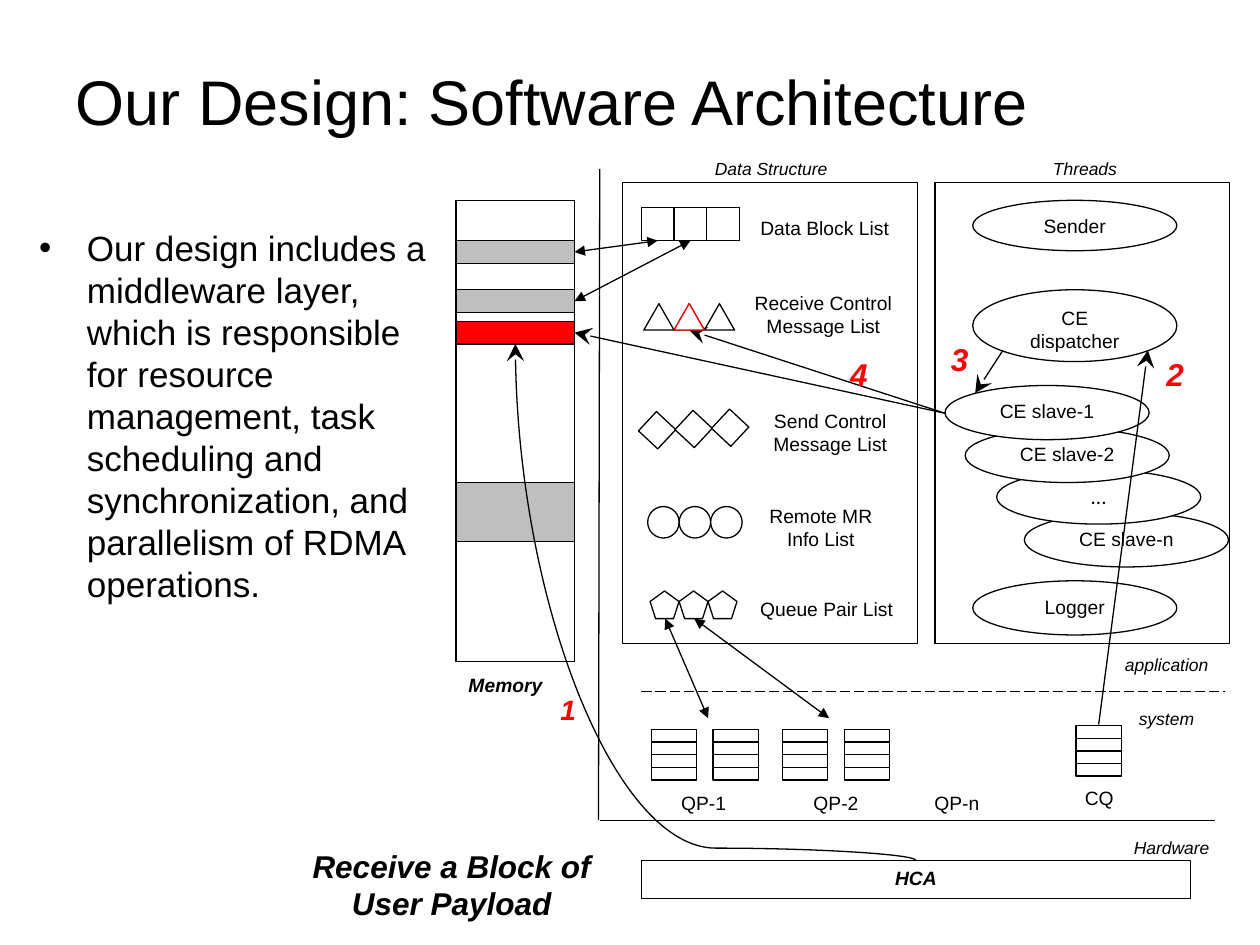
from lxml import etree
from pptx import Presentation
from pptx import util as u
from pptx.dml.color import RGBColor
from pptx.enum import dml, shapes, text
from pptx.oxml.ns import qn

COLORS = {"black": "000000", "white": "FFFFFF", "gray": "BFBFBF", "red": "FF0000"}
FONT = "Arial"
KIND = shapes.MSO_SHAPE
CENTER, LEFT = text.PP_ALIGN.CENTER, text.PP_ALIGN.LEFT
TOP, MIDDLE = text.MSO_ANCHOR.TOP, text.MSO_ANCHOR.MIDDLE

# Content
TITLE = "Our Design: Software Architecture"
BODY = ("Our design includes a middleware layer, which is responsible for resource "
        "management, task scheduling and synchronization, and parallelism of RDMA operations. ")
CAPTION = "Receive a Block of User Payload"

HEADINGS = [  # text, left, top, width, height, alignment
    ("Threads", 8.02, 1.21, 1.18, 0.26, CENTER),
    ("Data Structure", 5.53, 1.21, 1.18, 0.26, CENTER),
    ("application", 8.83, 5.12, 0.92, 0.31, LEFT),
    ("system", 8.94, 5.55, 0.86, 0.31, LEFT),
    ("Hardware", 8.9, 6.57, 0.86, 0.31, LEFT),
]
LABELS = [
    ("Data Block List", 5.9, 1.65, 1.29, 0.31),
    ("Receive Control Message List", 5.88, 2.25, 1.31, 0.49),
    ("Send Control Message List", 5.99, 3.17, 1.2, 0.52),
    ("Remote MR Info List", 5.95, 3.93, 1.13, 0.51),
    (" Queue Pair List", 5.85, 4.69, 1.38, 0.29),
    ("QP-1", 5.27, 6.23, 0.63, 0.29),
    ("QP-2", 6.32, 6.23, 0.63, 0.29),
    ("QP-n", 7.28, 6.23, 0.63, 0.29),
    ("CQ", 8.41, 6.19, 0.63, 0.29),
]
LIST_ICONS = [  # kind, left, top, width, height, step across, step down, rotation
    (KIND.RECTANGLE, 5.09, 1.65, 0.26, 0.26, 0.26, 0, 0),
    (KIND.ISOSCELES_TRIANGLE, 5.11, 2.41, 0.24, 0.21, 0.24, 0, 0),
    (KIND.RECTANGLE, 5.11, 3.31, 0.21, 0.21, 0.29, -0.01, 43),
    (KIND.OVAL, 5.14, 4.02, 0.25, 0.25, 0.25, 0, 0),
    (KIND.REGULAR_PENTAGON, 5.16, 4.69, 0.23, 0.22, 0.23, 0, 0),
]
QUEUES = [(5.17, 5.79), (5.66, 5.79), (6.21, 5.79), (6.7, 5.79), (8.54, 5.76)]
PANELS = [(7.42, 1.45, 2.34), (4.94, 1.45, 2.34), (3.62, 1.59, 0.94)]
MEMORY_BLOCKS = [(1.91, 0.18), (2.3, 0.18), (3.83, 0.47)]
THREADS = [  # text, left, top, height, font, size
    ("Sender", 7.72, 1.59, 0.4, FONT, 11),
    ("CE dispatcher", 7.72, 2.3, 0.57, FONT, 11),
    ("CE slave-n", 8.13, 4.07, 0.43, FONT, 11),
    ("...", 7.91, 3.73, 0.43, "Calibri", 12),
    ("CE slave-2", 7.66, 3.4, 0.43, FONT, 11),
    ("CE slave-1", 7.5, 3.06, 0.43, FONT, 11),
    ("Logger", 7.72, 4.61, 0.43, FONT, 11),
]
BORDERS = [(4.76, 1.34, 4.75, 6.51), (9.64, 6.51, 4.76, 6.51)]
LINKS = [(5.22, 1.91, 4.56, 2), (5.48, 1.91, 4.56, 2.39),
         (5.28, 4.91, 5.62, 5.7), (5.51, 4.91, 6.58, 5.7)]
FLOWS = [(8.72, 5.75, 9.11, 2.78), (7.96, 2.78, 7.74, 3.12),
         (7.5, 3.28, 5.47, 2.62), (7.5, 3.28, 4.56, 2.64)]
STEPS = [("1", 4.28, 5.38, 16), ("2", 9.09, 2.7, 18),
         ("3", 7.38, 2.58, 18), ("4", 6.58, 2.7, 18)]

prs = Presentation()
prs.slide_width, prs.slide_height = u.Inches(10), u.Inches(7.5)
s = prs.slides.add_slide(prs.slide_layouts[1])


def rgb(name):
    return RGBColor.from_string(COLORS[name])


def write(sp, words, size, align=LEFT, anchor=TOP, bold=False, italic=False,
          color="black", font=FONT, wrap=True):
    tf = sp.text_frame
    tf.word_wrap, tf.vertical_anchor = wrap, anchor
    tf.auto_size = text.MSO_AUTO_SIZE.NONE
    p = tf.paragraphs[0]
    p.alignment = align
    r = p.add_run()
    r.text = words
    r.font.name, r.font.size = font, u.Pt(size)
    r.font.bold, r.font.italic = bold, italic
    r.font.color.rgb = rgb(color)
    return p


def place(sp, *box):
    sp.left, sp.top, sp.width, sp.height = map(u.Inches, box)


def draw(kind, *box, fill="white", line="black"):
    sp = s.shapes.add_shape(kind, *map(u.Inches, box))
    sp.shadow.inherit = False
    if fill:
        sp.fill.solid()
        sp.fill.fore_color.rgb = rgb(fill)
    else:
        sp.fill.background()
    if line:
        sp.line.color.rgb = rgb(line)
        sp.line.width = u.Pt(0.75)
    else:
        sp.line.fill.background()
    return sp


def connect(ends, head=None, tail=None, size="med", kind=shapes.MSO_CONNECTOR.STRAIGHT):
    c = s.shapes.add_connector(kind, *map(u.Inches, ends))
    c.line.color.rgb = rgb("black")
    c.line.width = u.Pt(0.75)
    for tag, arrow in (("a:headEnd", head), ("a:tailEnd", tail)):
        if arrow:
            etree.SubElement(c.line._get_or_add_ln(), qn(tag), type=arrow, w=size, len=size)
    etree.SubElement(c._element.spPr, qn("a:effectLst"))
    return c


# Title and body
title, body = s.placeholders[0], s.placeholders[1]
place(title, 0.5, 0.17, 9, 1.25)
write(title, TITLE, 36, anchor=MIDDLE)
place(body, 0.21, 1.75, 3.37, 4.95)
p = write(body, BODY, 20)
p.space_before = u.Pt(4)
pPr = p._p.get_or_add_pPr()
pPr.set("marL", str(u.Inches(0.38)))
pPr.set("indent", str(-u.Inches(0.38)))
etree.SubElement(pPr, qn("a:buChar"), char="\u2022")

# Panels, memory and labels
for *box, align in HEADINGS:
    write(draw(KIND.RECTANGLE, *box[1:], line=None), box[0], 10, align, MIDDLE, italic=True)
for left, top, width in PANELS:
    draw(KIND.RECTANGLE, left, top, width, 3.66)
for top, height in MEMORY_BLOCKS:
    draw(KIND.RECTANGLE, 3.62, top, 0.94, height, fill="gray")
write(draw(KIND.RECTANGLE, 3.62, 5.29, 0.94, 0.31, line=None), "Memory", 11,
      bold=True, italic=True)
for words, *box in LABELS:
    write(draw(KIND.RECTANGLE, *box, line=None), words, 11, CENTER, MIDDLE)

# List icons and queues
for kind, left, top, width, height, dx, dy, angle in LIST_ICONS:
    for i in range(3):
        draw(kind, left + i * dx, top + i * dy, width, height).rotation = angle
for left, top in QUEUES:
    for row in range(4):
        draw(KIND.RECTANGLE, left, top + row * 0.1, 0.36, 0.1)

# Threads and hardware
for words, left, top, height, font, size in THREADS:
    write(draw(KIND.OVAL, left, top, 1.62, height), words, size, CENTER, font=font)
write(draw(KIND.RECTANGLE, 5.09, 6.83, 4.36, 0.3), "HCA", 11, CENTER, bold=True, italic=True)

# Borders and arrows
connect((5.09, 5.49, 9.72, 5.49)).line.dash_style = dml.MSO_LINE.LONG_DASH
for ends in BORDERS:
    connect(ends)
for ends in LINKS:
    connect(ends, "triangle", "triangle")
for ends in FLOWS:
    connect(ends, tail="stealth", size="lg")

# Curve from the hardware up to memory: a flipped connector turned by 270 degrees
curve = connect((3.63, 6.37, 7.73, 3.19), tail="stealth", size="lg",
                kind=shapes.MSO_CONNECTOR.CURVE)
spPr = curve._element.spPr
spPr.find(qn("a:xfrm")).set("rot", str(270 * 60000))
guides = spPr.find(qn("a:prstGeom")).find(qn("a:avLst"))
etree.SubElement(guides, qn("a:gd"), name="adj1", fmla="val 2400")

# Step numbers, caption and highlighted items
for words, left, top, size in STEPS:
    write(draw(KIND.OVAL, left, top, 0.47, 0.47, fill=None, line=None), words, size,
          bold=True, italic=True, color="red", wrap=False)
caption = s.shapes.add_textbox(*map(u.Inches, (2.25, 6.67, 2.67, 0.71)))
write(caption, CAPTION, 18, CENTER, bold=True, italic=True)
draw(KIND.RECTANGLE, 3.62, 2.55, 0.94, 0.18, fill="red")
draw(KIND.ISOSCELES_TRIANGLE, 5.35, 2.41, 0.24, 0.21, line="red")

prs.save("out.pptx")
